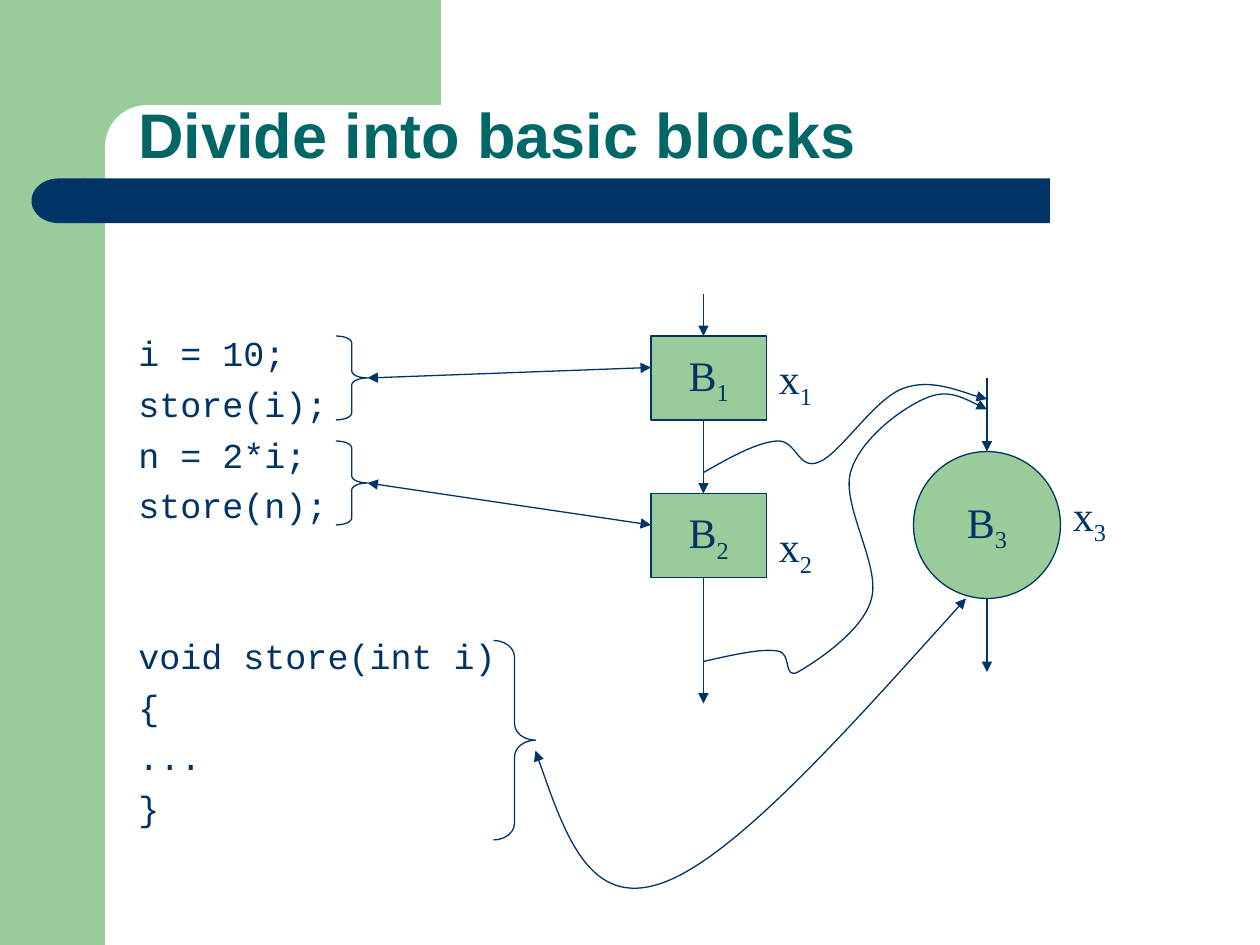
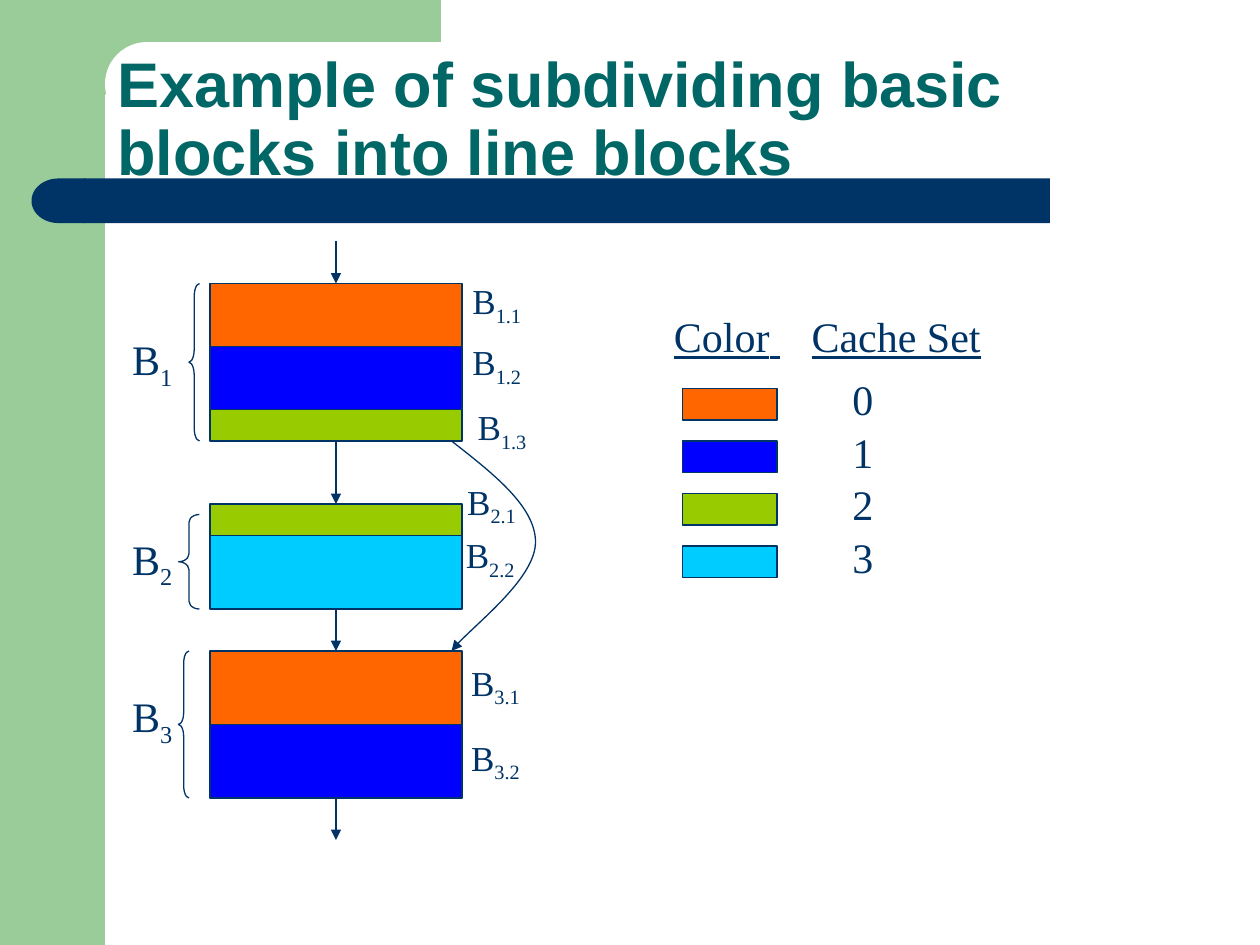
from dataclasses import dataclass
from typing import Any, Optional

from lxml.etree import SubElement
from pptx import Presentation
from pptx.dml.color import RGBColor
from pptx.enum.shapes import MSO_CONNECTOR, MSO_SHAPE
from pptx.enum.text import MSO_ANCHOR, PP_ALIGN
from pptx.oxml.ns import qn
from pptx.util import Emu, Pt

PX = 9525
COLORS = {
    "green": "99CC99",
    "white": "FFFFFF",
    "navy": "003366",
    "teal": "006666",
    "orange": "FF6600",
    "blue": "0000FF",
    "lime": "99CC00",
    "cyan": "00CCFF",
}
TITLE_FONT = {"name": "Arial", "size": Pt(36), "bold": True}
CODE_FONT = {"name": "Courier New", "size": Pt(20)}
LABEL_FONT = {"name": "Times New Roman", "size": Pt(24)}
SMALL_FONT = {**LABEL_FONT, "size": Pt(20)}
HEADER_FONT = {**LABEL_FONT, "underline": True}
CENTERED = {"word_wrap": False, "vertical_anchor": MSO_ANCHOR.MIDDLE}
WRAPPED = {"word_wrap": True}
LEGEND = ("orange", "blue", "lime", "cyan")

Point = tuple[int, int]


@dataclass
class Area:
    left: int
    top: int
    width: int
    height: int

    def emu(self) -> list[Emu]:
        return [Emu(v * PX) for v in (self.left, self.top, self.width, self.height)]


@dataclass
class Label:
    area: Area
    base: str
    subscript: str = ""


@dataclass
class Segment:
    height: int
    color: str
    label: Label


@dataclass
class Stack:
    top: int
    label: Label
    brace: Area
    segments: list[Segment]


@dataclass
class Arrow:
    start: Point
    end: Point
    both: bool = False


@dataclass
class Curve:
    points: list[Point]
    both: bool = False


def apply(target: Any, formats: dict[str, Any]) -> None:
    for name, value in formats.items():
        setattr(target, name, value)


def rgb(color: str) -> RGBColor:
    return RGBColor.from_string(COLORS[color])


def draw_outline(shape: Any, ends: tuple[str, ...] = ()) -> None:
    shape.line.color.rgb = rgb("navy")
    shape.line.width = Pt(0.75)
    for end in ends:
        SubElement(shape.line._get_or_add_ln(), qn(f"a:{end}")).set("type", "triangle")


def arrow_ends(both: bool) -> tuple[str, ...]:
    return ("headEnd", "tailEnd") if both else ("tailEnd",)


def add_block(page: Any, kind: Any, area: Area, color: Optional[str], outlined: bool = True) -> Any:
    shape = page.shapes.add_shape(kind, *area.emu())
    shape.shadow.inherit = False
    if color:
        shape.fill.solid()
        shape.fill.fore_color.rgb = rgb(color)
    else:
        shape.fill.background()
    if outlined:
        draw_outline(shape)
    else:
        shape.line.fill.background()
    return shape


def add_span(para: Any, text: str, font: dict[str, Any], color: str = "navy") -> Any:
    span = para.add_run()
    span.text = text
    apply(span.font, font)
    span.font.color.rgb = rgb(color)
    return span


def add_box(page: Any, area: Area, frame_format: dict[str, Any]) -> Any:
    box = page.shapes.add_textbox(*area.emu())
    apply(box.text_frame, frame_format)
    return box


def write_label(para: Any, label: Label, font: dict[str, Any]) -> None:
    add_span(para, label.base, font)
    if label.subscript:
        span = add_span(para, label.subscript, font)
        span._r.get_or_add_rPr().set("baseline", "-25000")


def add_label(page: Any, label: Label, font: dict[str, Any], centered: bool) -> None:
    box = add_box(page, label.area, CENTERED if centered else WRAPPED)
    para = box.text_frame.paragraphs[0]
    para.alignment = PP_ALIGN.CENTER if centered else PP_ALIGN.LEFT
    write_label(para, label, font)


def add_labeled_block(page: Any, kind: Any, label: Label) -> None:
    block = add_block(page, kind, label.area, "green")
    apply(block.text_frame, CENTERED)
    para = block.text_frame.paragraphs[0]
    para.alignment = PP_ALIGN.CENTER
    write_label(para, label, LABEL_FONT)


def add_brace(page: Any, kind: Any, area: Area) -> None:
    brace = add_block(page, kind, area, None)
    brace.adjustments[0] = area.height / 12 / min(area.width, area.height)


def add_arrow(page: Any, arrow: Arrow) -> Any:
    corners = [Emu(v * PX) for v in (*arrow.start, *arrow.end)]
    connector = page.shapes.add_connector(MSO_CONNECTOR.STRAIGHT, *corners)
    draw_outline(connector, arrow_ends(arrow.both))
    SubElement(connector._element.spPr, qn("a:effectLst"))
    return connector


def add_curve(page: Any, curve: Curve) -> None:
    builder = page.shapes.build_freeform(*curve.points[0], scale=PX)
    builder.add_line_segments(curve.points[1:], close=False)
    shape = builder.convert_to_shape()
    shape.shadow.inherit = False
    shape.fill.background()
    draw_outline(shape, arrow_ends(curve.both))
    route = next(shape._element.iter(qn("a:path")))
    for index, node in enumerate(route.findall(qn("a:lnTo"))):
        if index % 3 == 0:
            cubic = SubElement(route, qn("a:cubicBezTo"))
        cubic.append(node[0])
        route.remove(node)


def add_page(deck: Any, title: str, title_area: Area, notch: int, tab_height: int) -> Any:
    page = deck.slides.add_slide(deck.slide_layouts[6])
    for area in (Area(0, 0, 80, 720), Area(72, 0, 264, tab_height)):
        add_block(page, MSO_SHAPE.RECTANGLE, area, "green", False)
    corner = add_block(page, MSO_SHAPE.ROUNDED_RECTANGLE, Area(80, notch, 536, 64), "white", False)
    corner.adjustments[0] = 0.5
    add_block(page, MSO_SHAPE.RECTANGLE, Area(64, 136, 736, 34), "navy", False)
    cap = add_block(page, MSO_SHAPE.FLOWCHART_DELAY, Area(24, 136, 41, 34), "navy", False)
    cap._element.spPr.xfrm.set("flipH", "1")
    box = add_box(page, title_area, {**WRAPPED, "vertical_anchor": MSO_ANCHOR.BOTTOM})
    para = box.text_frame.paragraphs[0]
    para.line_spacing = 0.9
    add_span(para, title, TITLE_FONT, "teal")
    return page


def add_code(page: Any) -> None:
    box = add_box(page, Area(96, 248, 296, 392), WRAPPED)
    box.fill.solid()
    box.fill.fore_color.rgb = rgb("white")
    lines = ["i = 10;", "store(i);", "n = 2*i;", "store(n);", "void store(int i)", "{", "...", "}"]
    for index, line in enumerate(lines):
        para = box.text_frame.add_paragraph() if index else box.text_frame.paragraphs[0]
        if index:
            para.space_before = Pt(62 if line.startswith("void") else 5)
        add_span(para, line, CODE_FONT)


def build_division(deck: Any) -> None:
    page = add_page(deck, "Divide into basic blocks", Area(96, 56, 840, 80), 80, 112)
    add_code(page)
    for index, top in enumerate((256, 376), 1):
        add_labeled_block(page, MSO_SHAPE.RECTANGLE, Label(Area(496, top, 88, 64), "B", str(index)))
    add_labeled_block(page, MSO_SHAPE.OVAL, Label(Area(696, 344, 112, 112), "B", "3"))
    for area in (Area(256, 256, 24, 64), Area(256, 336, 24, 64), Area(376, 488, 32, 152)):
        add_brace(page, MSO_SHAPE.RIGHT_BRACE, area)
    flows = {536: ((224, 256), (320, 376), (440, 536)), 752: ((288, 344), (456, 512))}
    for x, spans in flows.items():
        for start, end in spans:
            add_arrow(page, Arrow((x, start), (x, end)))
    add_arrow(page, Arrow((280, 288), (496, 280), True))
    add_arrow(page, Arrow((280, 368), (496, 400), True))
    curves = [
        Curve([(536, 360), (557, 348), (577, 337), (592, 336), (607, 335), (608, 359), (624, 352),
               (640, 346), (666, 304), (688, 296), (709, 288), (741, 302), (752, 304)]),
        Curve([(536, 504), (558, 499), (580, 494), (592, 496), (604, 497), (596, 518), (608, 512),
               (620, 505), (658, 481), (664, 456), (671, 431), (641, 385), (648, 360),
               (655, 335), (686, 312), (704, 304), (721, 296), (736, 304), (752, 312)]),
        Curve([(408, 572), (429, 632), (449, 692), (504, 673), (559, 654), (647, 555), (736, 456)], True),
    ]
    for curve in curves:
        add_curve(page, curve)
    for index, (left, top) in enumerate(((584, 264), (584, 392), (808, 368)), 1):
        add_label(page, Label(Area(left, top, 80, 54), "x", str(index)), LABEL_FONT, False)


def segment(height: int, color: str, number: str, left: int, top: int) -> Segment:
    return Segment(height, color, Label(Area(left, top, 63, 40), "B", number))


def add_stack(page: Any, stack: Stack) -> list[Any]:
    top, blocks = stack.top, []
    for part in stack.segments:
        area = Area(160, top, 192, part.height)
        blocks.append(add_block(page, MSO_SHAPE.RECTANGLE, area, part.color))
        add_label(page, part.label, SMALL_FONT, True)
        top += part.height
    add_brace(page, MSO_SHAPE.LEFT_BRACE, stack.brace)
    add_label(page, stack.label, LABEL_FONT, True)
    return blocks


def add_legend(page: Any) -> None:
    box = add_box(page, Area(504, 232, 272, 48), WRAPPED)
    para = box.text_frame.paragraphs[0]
    add_span(para, "Color", HEADER_FONT)
    gap = add_span(para, " ", HEADER_FONT)
    gap._r.get_or_add_rPr().set("spc", "1800")
    add_span(para, "Cache Set", HEADER_FONT)
    for index, color in enumerate(LEGEND):
        add_block(page, MSO_SHAPE.RECTANGLE, Area(520, 296 + 40 * index, 72, 24), color)
        add_label(page, Label(Area(640, 280 + 40 * index, 32, 48), str(index)), LABEL_FONT, False)


def build_subdivision(deck: Any) -> None:
    title = "Example of subdividing basic blocks into line blocks"
    page = add_page(deck, title, Area(80, 24, 817, 125), 32, 72)
    stacks = [
        Stack(216, Label(Area(84, 256, 64, 40), "B", "1"), Area(144, 216, 8, 120),
              [segment(48, "orange", "1.1", 347, 211), segment(48, "blue", "1.2", 347, 258),
               segment(24, "lime", "1.3", 351, 307)]),
        Stack(384, Label(Area(84, 408, 64, 40), "B", "2"), Area(136, 392, 16, 72),
              [segment(24, "lime", "2.1", 343, 364), segment(56, "cyan", "2.2", 342, 405)]),
        Stack(496, Label(Area(84, 528, 64, 40), "B", "3"), Area(136, 496, 8, 112),
              [segment(56, "orange", "3.1", 346, 502), segment(56, "blue", "3.2", 346, 559)]),
    ]
    groups = [add_stack(page, stack) for stack in stacks]
    flows = ((184, 216), (336, 384), (464, 496), (608, 640))
    for index, (start, end) in enumerate(flows):
        connector = add_arrow(page, Arrow((256, start), (256, end)))
        if index:
            connector.begin_connect(groups[index - 1][-1], 2)
        if index < len(groups):
            connector.end_connect(groups[index][0], 0)
    add_curve(page, Curve([(344, 336), (376, 361), (408, 386), (408, 413),
                           (408, 440), (354, 482), (344, 496)]))
    add_legend(page)


def main() -> None:
    deck = Presentation()
    apply(deck, {"slide_width": Emu(960 * PX), "slide_height": Emu(720 * PX)})
    build_division(deck)
    build_subdivision(deck)
    deck.save("out.pptx")


if __name__ == "__main__":
    main()
